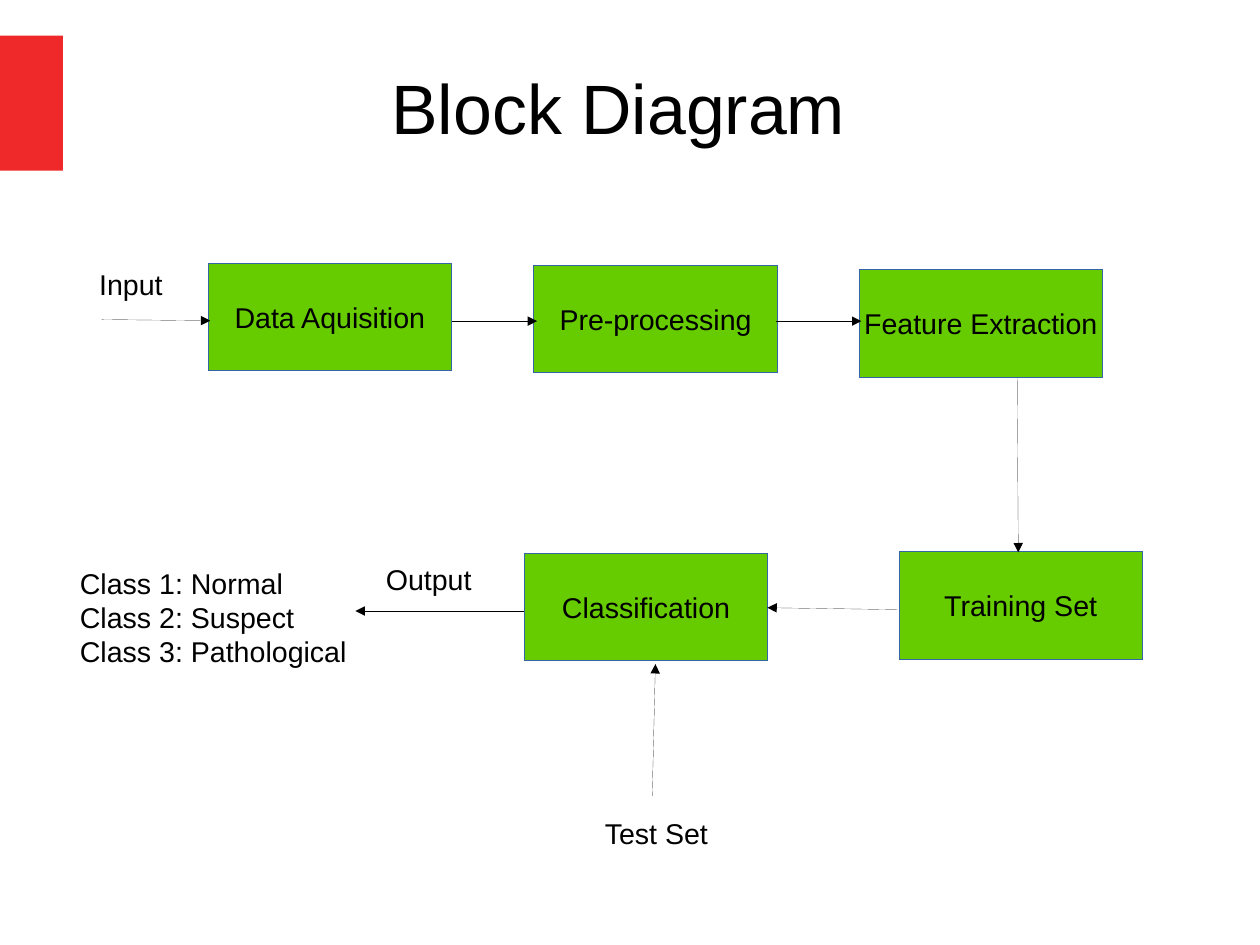
from lxml import etree
from pptx import Presentation
from pptx.dml.color import RGBColor
from pptx.enum.shapes import MSO_CONNECTOR, MSO_SHAPE
from pptx.enum.text import MSO_ANCHOR, PP_ALIGN
from pptx.oxml.ns import qn
from pptx.util import Pt

COLORS = {"accent": "EF2929", "block": "66CC00", "border": "3465A4", "ink": "000000"}
BLOCK_WIDTH, BLOCK_HEIGHT = 153.2, 67.7
HAIRLINE = 0.01


def color(name):
    return RGBColor.from_string(COLORS[name])


def format_paragraph(paragraph, size, alignment):
    paragraph.alignment = alignment
    paragraph.font.name = "Arial"
    paragraph.font.size = Pt(size)
    paragraph.font.color.rgb = color("ink")


presentation = Presentation()
presentation.slide_width, presentation.slide_height = Pt(793.75), Pt(595.25)
slide = presentation.slides.add_slide(presentation.slide_layouts[5])
shapes = slide.shapes

# Red accent at the left edge
accent = shapes.add_shape(MSO_SHAPE.RECTANGLE, Pt(0), Pt(22.5), Pt(39.7), Pt(85))
accent.shadow.inherit = False
accent.fill.solid()
accent.fill.fore_color.rgb = color("accent")
accent.line.fill.background()

# Title
title = shapes.title
title.left, title.top, title.width, title.height = Pt(69.2), Pt(34.5), Pt(641), Pt(65)
title.text_frame.text = "Block Diagram"
title.text_frame.vertical_anchor = MSO_ANCHOR.MIDDLE
format_paragraph(title.text_frame.paragraphs[0], 44, PP_ALIGN.CENTER)

# Process blocks: text, left, top
blocks = [
    ("Data Aquisition", 131.2, 166),
    ("Pre-processing", 336.4, 167.2),
    ("Feature Extraction", 541.3, 169.9),
    ("Classification", 330.4, 348.6),
    ("Training Set", 566.4, 347.5),
]
for text, left, top in blocks:
    block = shapes.add_shape(MSO_SHAPE.RECTANGLE, Pt(left), Pt(top),
                             Pt(BLOCK_WIDTH), Pt(BLOCK_HEIGHT))
    block.shadow.inherit = False
    block.fill.solid()
    block.fill.fore_color.rgb = color("block")
    block.line.color.rgb = color("border")
    block.line.width = Pt(HAIRLINE)
    frame = block.text_frame
    frame.text = text
    frame.word_wrap = False
    frame.vertical_anchor = MSO_ANCHOR.MIDDLE
    format_paragraph(frame.paragraphs[0], 18, PP_ALIGN.CENTER)

# Arrows: start x, start y, end x, end y
arrows = [
    (64.1, 201.3, 132.5, 202),      # input to acquisition
    (285, 202.3, 338.4, 202.3),     # acquisition to pre-processing
    (489, 202.3, 542.7, 202.3),     # pre-processing to extraction
    (640.8, 238, 641.5, 348),       # extraction to training set
    (565.5, 384, 483.4, 382.8),     # training set to classification
    (410.9, 501.3, 412.9, 418.3),   # test set to classification
    (330.4, 384.9, 223.9, 384.9),   # classification to output
]
for start_x, start_y, end_x, end_y in arrows:
    arrow = shapes.add_connector(MSO_CONNECTOR.STRAIGHT, Pt(start_x), Pt(start_y),
                                 Pt(end_x), Pt(end_y))
    arrow.line.color.rgb = color("ink")
    arrow.line.width = Pt(HAIRLINE)
    etree.SubElement(arrow.line._get_or_add_ln(), qn("a:tailEnd"), type="triangle")
    etree.SubElement(arrow._element.spPr, qn("a:effectLst"))

# Labels: text, left, top, width, height
labels = [
    ("Input", 55.4, 164.6, 65, 47.5),
    ("Output", 236, 350.4, 88.5, 27.4),
    ("Test Set", 373.9, 510.4, 107, 27.4),
    ("Class 1: Normal\nClass 2: Suspect\nClass 3: Pathological", 43.2, 352.7, 198, 148),
]
for text, left, top, width, height in labels:
    label = shapes.add_textbox(Pt(left), Pt(top), Pt(width), Pt(height))
    label.text_frame.word_wrap = True
    label.text_frame.text = text
    for paragraph in label.text_frame.paragraphs:
        format_paragraph(paragraph, 18, PP_ALIGN.LEFT)

presentation.save("out.pptx")
